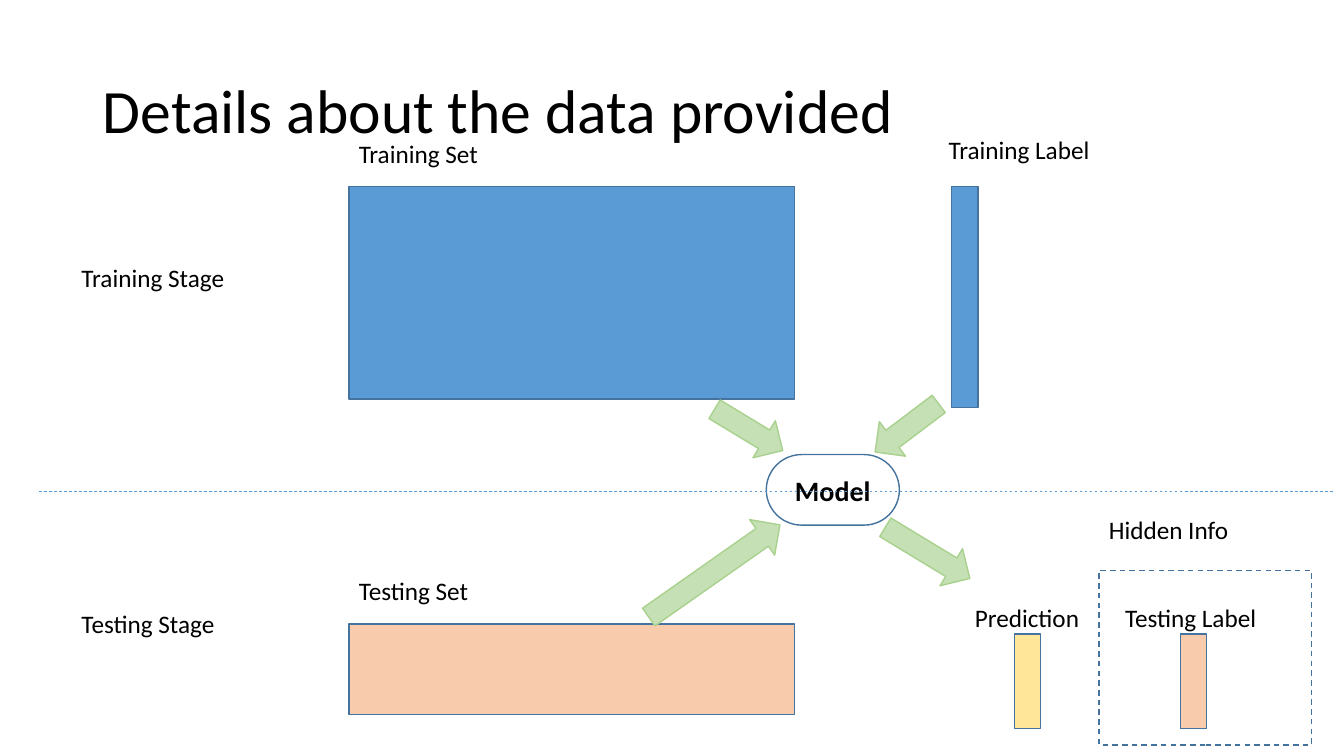
from lxml import etree
from pptx import Presentation
from pptx.dml.color import RGBColor
from pptx.enum import dml, shapes, text
from pptx.oxml import ns
from pptx.util import Inches, Pt

FONT = "Calibri"
BLUE, PEACH, YELLOW = "5B9BD5", "F8CBAD", "FFE699"
GREEN, GREEN_EDGE = "C5E0B4", "A9D18E"
EDGE, BLACK = "43739E", "000000"
RECT = shapes.MSO_SHAPE.RECTANGLE
ROUNDED = shapes.MSO_SHAPE.ROUNDED_RECTANGLE
ARROW = shapes.MSO_SHAPE.RIGHT_ARROW

SET_X, SET_W = 3.46, 4.42
STAGE_X = 0.71
BAR_W = 0.26
ARROW_H = 0.43


def color(value):
    return RGBColor.from_string(value)


def box_at(left, top, width, height):
    return [Inches(v) for v in (left, top, width, height)]


def write(sp, words, size, bold=False, align=text.PP_ALIGN.LEFT):
    tf = sp.text_frame
    tf.word_wrap = True
    tf.text = words
    p = tf.paragraphs[0]
    p.alignment = align
    font = p.runs[0].font
    font.name, font.size, font.bold = FONT, Pt(size), bold
    font.color.rgb = color(BLACK)
    return p


def add_title(slide, words):
    title = slide.shapes.title
    title.left, title.top, title.width, title.height = box_at(0.92, 0.4, 11.5, 1.45)
    p = write(title, words, 44)
    p.line_spacing = 0.9
    title.text_frame.auto_size = text.MSO_AUTO_SIZE.NONE
    title.text_frame.vertical_anchor = text.MSO_ANCHOR.MIDDLE


def add_label(slide, words, left, top, width=2.29):
    sp = slide.shapes.add_textbox(*box_at(left, top, width, 0.4))
    write(sp, words, 18)
    sp.text_frame.auto_size = text.MSO_AUTO_SIZE.SHAPE_TO_FIT_TEXT


def add_block(slide, kind, left, top, width, height, fill=None, edge=EDGE):
    sp = slide.shapes.add_shape(kind, *box_at(left, top, width, height))
    sp.shadow.inherit = False
    if fill:
        sp.fill.solid()
        sp.fill.fore_color.rgb = color(fill)
    else:
        sp.fill.background()
    sp.line.color.rgb = color(edge)
    sp.line.width = Pt(1)
    return sp


def add_arrow(slide, left, top, length, angle):
    sp = add_block(slide, ARROW, left, top, length, ARROW_H, GREEN, GREEN_EDGE)
    sp.rotation = angle


def add_divider(slide, left, right, y):
    ends = [Inches(v) for v in (left, y, right, y)]
    line = slide.shapes.add_connector(shapes.MSO_CONNECTOR.STRAIGHT, *ends)
    line.line.color.rgb = color(BLUE)
    line.line.width = Pt(0.5)
    line.line.dash_style = dml.MSO_LINE.DASH
    etree.SubElement(line._element.spPr, ns.qn("a:effectLst"))


def main():
    prs = Presentation()
    prs.slide_width, prs.slide_height = Inches(13.33), Inches(7.5)
    slide = prs.slides.add_slide(prs.slide_layouts[5])
    add_title(slide, "Details about the data provided")

    # Data sets and label columns
    for left, top, width, height, fill in (
        (SET_X, 1.85, SET_W, 2.11, BLUE),
        (9.44, 1.85, BAR_W, 2.19, BLUE),
        (SET_X, 6.19, SET_W, 0.9, PEACH),
        (11.71, 6.29, BAR_W, 0.94, PEACH),
        (10.06, 6.29, BAR_W, 0.94, YELLOW),
    ):
        add_block(slide, RECT, left, top, width, height, fill)

    # Model
    model = add_block(slide, ROUNDED, 7.6, 4.51, 1.32, 0.7)
    model.adjustments[0] = 0.5
    write(model, "Model", 20, True, text.PP_ALIGN.CENTER)
    model.text_frame.vertical_anchor = text.MSO_ANCHOR.MIDDLE

    # Flow into and out of the model
    add_arrow(slide, 7.03, 4.05, 0.79, 31.2)
    add_arrow(slide, 8.6, 4.03, 0.79, 142.9)
    add_arrow(slide, 6.29, 5.45, 1.59, 324.9)
    add_arrow(slide, 8.71, 5.27, 0.98, 31.2)

    # Border between the stages, and the hidden part
    add_divider(slide, 0.39, 13.22, 4.87)
    hidden = add_block(slide, RECT, 10.9, 5.66, 2.11, 1.73)
    hidden.line.dash_style = dml.MSO_LINE.DASH

    # Labels
    add_label(slide, "Training Stage", STAGE_X, 2.55)
    add_label(slide, "Testing Stage", STAGE_X, 5.99)
    add_label(slide, "Training Set", SET_X, 1.32)
    add_label(slide, "Testing Set", SET_X, 5.66)
    add_label(slide, "Training Label", 9.31, 1.28)
    add_label(slide, "Testing Label", 11.06, 5.93, 2.27)
    add_label(slide, "Prediction", 9.57, 5.93, 1.49)
    add_label(slide, "Hidden Info", 10.9, 5.05, 1.94)

    prs.save("out.pptx")


main()
